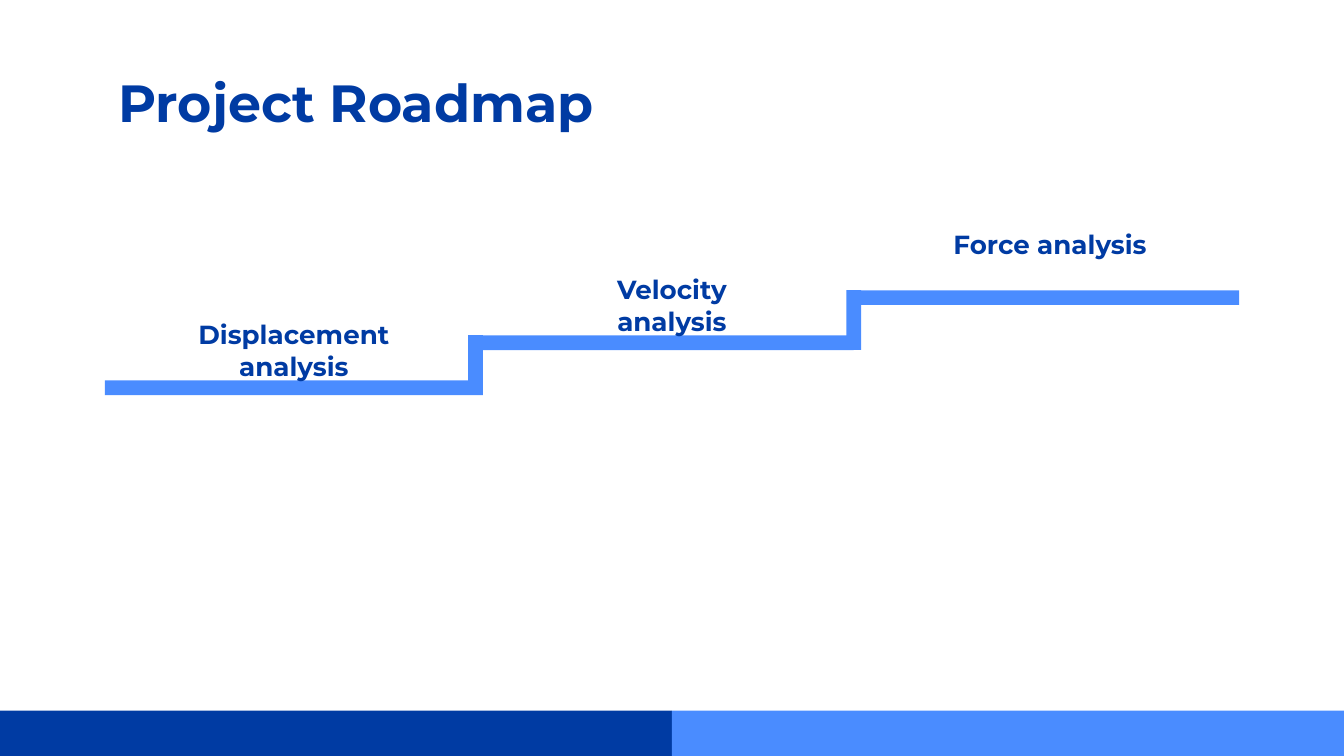
from pptx import Presentation
from pptx.dml.color import RGBColor
from pptx.enum.shapes import MSO_SHAPE
from pptx.enum.text import MSO_ANCHOR, PP_ALIGN
from pptx.util import Inches, Pt

WIDTH = 10
HEIGHT = WIDTH * 9 / 16
NAVY, BLUE = "003BA3", "4A8CFF"
STEPS = ["Displacement analysis", "Velocity analysis", "Force analysis"]
THICKNESS = 0.11
LABEL_WIDTH, LABEL_HEIGHT, LABEL_RISE = 1.69, 0.45, 0.56


def color(value):
    """Return the colour for a hex string."""
    return RGBColor.from_string(value)


def set_values(target, values):
    """Set each attribute named in a dict on the target."""
    for name, value in values.items():
        setattr(target, name, value)


def place(shape, box):
    """Move a shape to a box given in inches."""
    set_values(shape, dict(zip(("left", "top", "width", "height"), map(Inches, box))))


def write(shape, text, size, alignment, space_after=0):
    """Fill a shape with one formatted paragraph."""
    frame = shape.text_frame
    margins = dict.fromkeys(
        ("margin_left", "margin_top", "margin_right", "margin_bottom"), Inches(0.1)
    )
    set_values(frame, {**margins, "word_wrap": True, "vertical_anchor": MSO_ANCHOR.TOP})
    frame.text = text
    paragraph = frame.paragraphs[0]
    set_values(
        paragraph,
        {
            "alignment": alignment,
            "line_spacing": 1.0,
            "space_before": Pt(0),
            "space_after": Pt(space_after),
        },
    )
    font = paragraph.runs[0].font
    set_values(font, {"name": "Montserrat", "size": Pt(size), "bold": True})
    font.color.rgb = color(NAVY)


def add_bar(slide, box, fill):
    """Add a plain filled rectangle."""
    shape = slide.shapes.add_shape(MSO_SHAPE.RECTANGLE, *map(Inches, box))
    shape.shadow.inherit = False
    shape.fill.solid()
    shape.fill.fore_color.rgb = color(fill)
    shape.line.fill.background()


def add_title(slide, box):
    """Place the slide title."""
    place(slide.shapes.title, box)
    write(slide.shapes.title, "Project Roadmap", 28, PP_ALIGN.LEFT)


def add_staircase(slide, box):
    """Draw rising steps, joined by risers, with a label above each."""
    left, top, width, height = box
    column = width / len(STEPS)
    rise = (height - LABEL_RISE - THICKNESS) / (len(STEPS) - 1)
    last = len(STEPS) - 1
    for index, text in enumerate(STEPS):
        column_left = left + index * column
        bar_top = top + LABEL_RISE + (last - index) * rise
        overlap = THICKNESS / 2 if 0 < index < last else 0
        add_bar(slide, (column_left - overlap, bar_top, column, THICKNESS), BLUE)
        if index < last:
            riser_left = column_left + column - THICKNESS
            riser = (riser_left, bar_top - rise, THICKNESS, rise + THICKNESS)
            add_bar(slide, riser, BLUE)
        label_left = column_left + (column - LABEL_WIDTH) / 2
        label_box = (label_left, bar_top - LABEL_RISE, LABEL_WIDTH, LABEL_HEIGHT)
        label = slide.shapes.add_textbox(*map(Inches, label_box))
        write(label, text, 14, PP_ALIGN.CENTER, 16)


def add_footer(slide, box):
    """Draw the two-colour band along the bottom."""
    left, top, width, height = box
    for index, fill in enumerate((NAVY, BLUE)):
        add_bar(slide, (left + index * width / 2, top, width / 2, height), fill)


def main():
    """Build and save the roadmap slide."""
    presentation = Presentation()
    presentation.slide_width = Inches(WIDTH)
    presentation.slide_height = Inches(HEIGHT)
    slide = presentation.slides.add_slide(presentation.slide_layouts[5])
    margin = 0.78
    content_width = WIDTH - 2 * margin
    add_title(slide, (margin, 0.42, content_width, 0.18 * HEIGHT))
    add_staircase(slide, (margin, 1.6, content_width, 1.34))
    add_footer(slide, (0, 0.94 * HEIGHT, WIDTH, 0.06 * HEIGHT))
    presentation.save("out.pptx")


if __name__ == "__main__":
    main()
